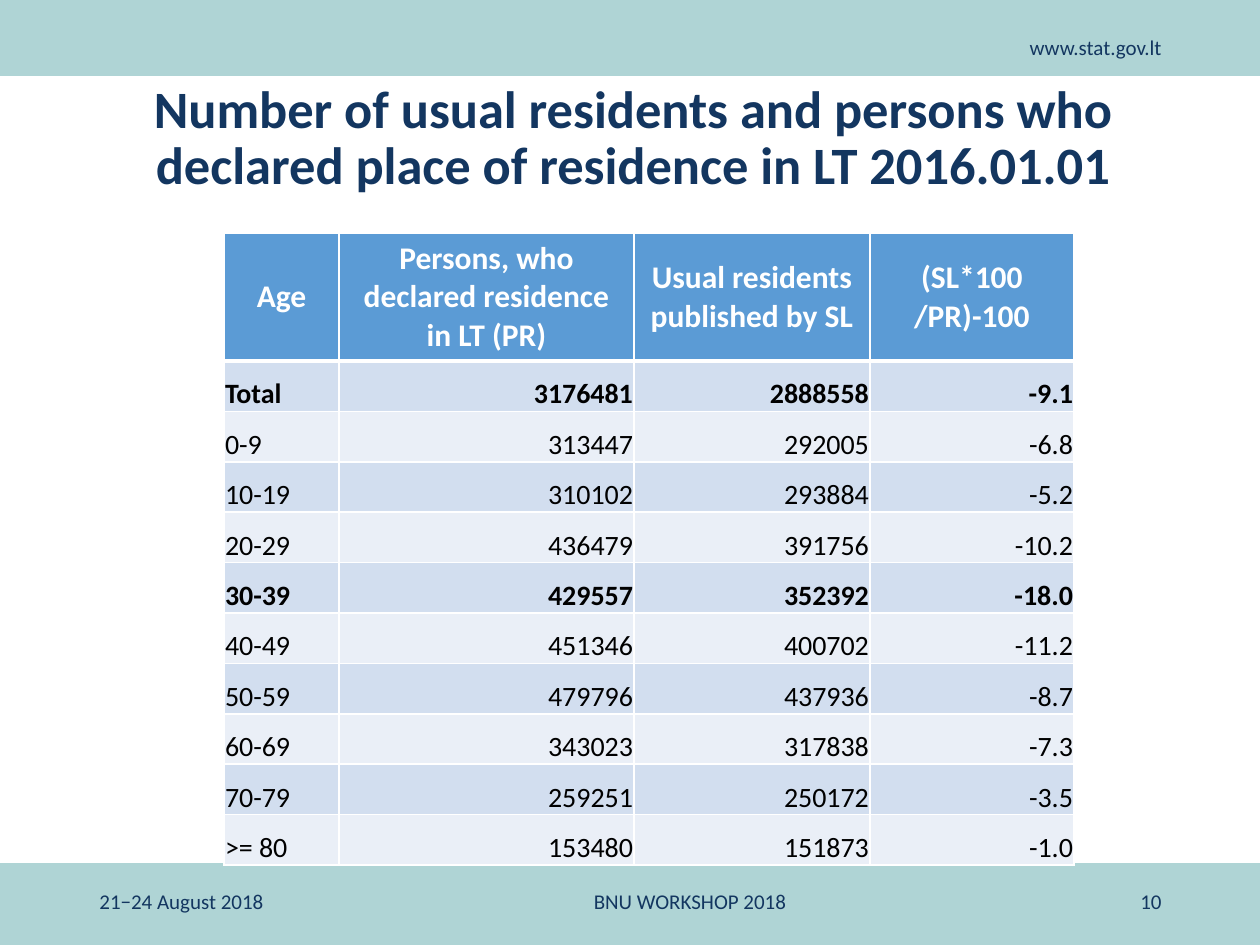
from lxml.etree import SubElement as Sub
from pptx import Presentation
from pptx.dml.color import RGBColor as Rgb
from pptx.enum.shapes import MSO_SHAPE as Form
from pptx.enum.text import MSO_ANCHOR as Anchor, MSO_AUTO_SIZE as Fit, PP_ALIGN as Align
from pptx.oxml.ns import qn
from pptx.util import Pt

SCALE = 914400 / 126  # EMU per px
NAVY, TEAL, BLUE, WHITE, BLACK = "133660", "AFD4D5", "5B9BD5", "FFFFFF", "000000"
BANDS = ("D2DEEF", "EAEFF7")

HEADS = ["Age", "Persons, who declared residence in LT (PR)",
         "Usual residents published by SL", "(SL*100 /PR)-100"]
ROWS = [
    ("Total", "3176481", "2888558", "-9.1"),
    ("0-9", "313447", "292005", "-6.8"),
    ("10-19", "310102", "293884", "-5.2"),
    ("20-29", "436479", "391756", "-10.2"),
    ("30-39", "429557", "352392", "-18.0"),
    ("40-49", "451346", "400702", "-11.2"),
    ("50-59", "479796", "437936", "-8.7"),
    ("60-69", "343023", "317838", "-7.3"),
    ("70-79", "259251", "250172", "-3.5"),
    (">= 80", "153480", "151873", "-1.0"),
]
STRONG = ("Total", "30-39")


def px(*nums):
    return [round(n * SCALE) for n in nums]


def paint(fill, tint):
    fill.solid()
    fill.fore_color.rgb = Rgb.from_string(tint)


class Deck:
    font = "Calibri"

    def __init__(self, wide, high):
        self.prs = Presentation()
        self.prs.slide_width, self.prs.slide_height = px(wide, high)
        self.slide = self.prs.slides.add_slide(self.prs.slide_layouts[5])
        self.shapes = self.slide.shapes

    def words(self, frame, text, size, tint, align, bold=False):
        frame.text = text
        para = frame.paragraphs[0]
        para.alignment = align
        for run in para.runs:
            run.font.name, run.font.size, run.font.bold = self.font, Pt(size), bold
            run.font.color.rgb = Rgb.from_string(tint)
        return para

    def band(self, *box):
        bar = self.shapes.add_shape(Form.RECTANGLE, *px(*box))
        bar.shadow.inherit = False
        paint(bar.fill, TEAL)
        bar.line.fill.background()

    def title(self, text, *box):
        head = self.shapes.title
        head.left, head.top, head.width, head.height = px(*box)
        frame = head.text_frame
        frame.auto_size, frame.vertical_anchor = Fit.NONE, Anchor.MIDDLE
        self.words(frame, text, 30, NAVY, Align.CENTER, True).line_spacing = 0.9

    def label(self, text, align, anchor, *box):
        frame = self.shapes.add_textbox(*px(*box)).text_frame
        frame.word_wrap, frame.vertical_anchor = True, anchor
        self.words(frame, text, 12, NAVY, align)

    def edge(self, cell, top, base):
        # White cell borders, widths in points
        props = cell._tc.get_or_add_tcPr()
        for side, width in (("L", 1), ("R", 1), ("T", top), ("B", base)):
            line = Sub(props, qn("a:ln" + side), w=str(Pt(width)))
            Sub(Sub(line, qn("a:solidFill")), qn("a:srgbClr"), val=WHITE)

    def table(self, heads, rows, left, top, cols, tall, depth):
        # tall: header height; depth: height of all body rows together
        box = px(left, top, sum(cols), tall + depth)
        grid = self.shapes.add_table(len(rows) + 1, len(cols), *box).table
        for col, width in zip(grid.columns, px(*cols)):
            col.width = width
        for row in grid.rows:
            row.height = px(depth)[0] // len(rows)
        grid.rows[0].height = px(tall)[0]

        for i, row in enumerate([heads, *rows]):
            for j, text in enumerate(row):
                cell = grid.cell(i, j)
                self.edge(cell, 3 if i == 1 else 1, 1 if i else 3)
                if i == 0:
                    cell.vertical_anchor = Anchor.MIDDLE
                    paint(cell.fill, BLUE)
                    self.words(cell.text_frame, text, 18, WHITE, Align.CENTER, True)
                    continue
                cell.vertical_anchor = Anchor.BOTTOM
                cell.margin_left, cell.margin_right, cell.margin_top, cell.margin_bottom = px(1, 1, 1, 0)
                paint(cell.fill, BANDS[(i - 1) % 2])
                self.words(cell.text_frame, text, 16, BLACK,
                           Align.RIGHT if j else Align.LEFT, row[0] in STRONG)


def main():
    deck = Deck(1260, 945)

    # Top and bottom bands
    deck.band(0, 0, 1260, 76)
    deck.band(0, 863, 1260, 82)
    deck.label("www.stat.gov.lt", Align.RIGHT, Anchor.TOP, 906, 28, 268, 38)

    # Title and figures
    deck.title("Number of usual residents and persons who declared "
               "place of residence in LT 2016.01.01", 60, 67, 1147, 145)
    deck.table(HEADS, ROWS, 224, 233, (115, 295, 236, 204), 128, 504)

    # Footer
    for text, align, left, width in (
            ("21−24 August 2018", Align.LEFT, 87, 284),
            ("10", Align.RIGHT, 890, 284),
            ("BNU WORKSHOP 2018", Align.CENTER, 417, 546)):
        deck.label(text, align, Anchor.MIDDLE, left, 876, width, 50)

    deck.prs.save("out.pptx")


if __name__ == "__main__":
    main()
